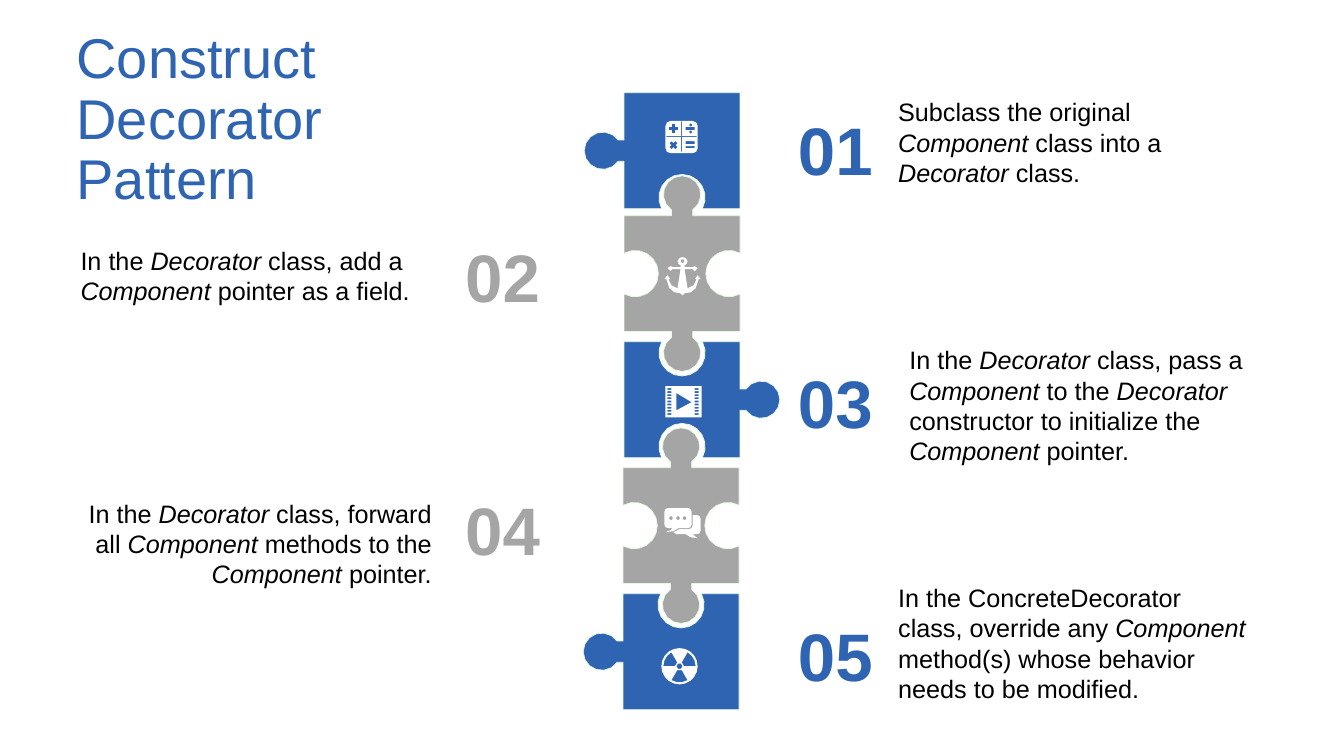
from dataclasses import dataclass
from math import asin, cos, pi, radians, sin, sqrt

from lxml.etree import SubElement
from pptx import Presentation
from pptx.dml.color import RGBColor as Rgb
from pptx.enum.text import MSO_ANCHOR as Anchor, MSO_AUTO_SIZE as AutoSize, PP_ALIGN as Align
from pptx.oxml.ns import qn
from pptx.util import Inches, Pt


@dataclass(frozen=True)
class Theme:
    font: str = "Arial"
    blue: str = "2E64B1"
    grey: str = "A5A5A5"
    white: str = "FFFFFF"
    black: str = "000000"
    edge: str = "E5FAE1"
    title_size: int = 40
    number_size: int = 48
    step_size: int = 18


SIDE = 1.15
BUMP_STEPS = 12
KNOB = (1, 0.21, 0.185, 0.105)
SOCKET = (-1, 0.11, 0.23, sqrt(0.23**2 - 0.11**2))


def arc(cx, cy, radius, start, end, count):
    angles = [radians(start + (end - start) * i / count) for i in range(count + 1)]
    return [(cx + radius * cos(a), cy + radius * sin(a)) for a in angles]


def disc(cx, cy, radius, count=6):
    return arc(cx, cy, radius, 0, 360, count)[:-1]


def box(left, top, right, bottom):
    return [(left, top), (right, top), (right, bottom), (left, bottom)]


def rounded(left, top, right, bottom, radius):
    corners = [(right - radius, bottom - radius), (left + radius, bottom - radius),
               (left + radius, top + radius), (right - radius, top + radius)]
    return [point for i, (cx, cy) in enumerate(corners)
            for point in arc(cx, cy, radius, 90 * i, 90 * i + 90, 2)]


def cross(cx, cy, arm, half, turn=0):
    c, s = cos(radians(turn)), sin(radians(turn))
    points = []
    for _ in range(4):
        for x, y in [(arm, -half), (arm, half), (half, half)]:
            points.append((cx + x * c - y * s, cy + x * s + y * c))
        c, s = -s, c
    return points


def puzzle_outline(x, y, joints):
    points = []
    for dx, dy in [(1, 0), (0, 1), (-1, 0), (0, -1)]:
        points.append((x, y))
        if (dx, dy) in joints:
            sign, offset, radius, neck = joints[(dx, dy)]
            start = asin(neck / radius)
            turns = [start + 2 * (pi - start) * i / BUMP_STEPS for i in range(BUMP_STEPS + 1)]
            bump = [(-radius * sin(t), sign * (offset - radius * cos(t))) for t in turns]
            if sign > 0:
                bump = [(-neck, 0), *bump, (neck, 0)]
            for along, out in bump:
                along += SIDE / 2
                points.append((x + dx * along + dy * out, y + dy * along - dx * out))
        x, y = x + dx * SIDE, y + dy * SIDE
    return points


def calculator_icon():
    return [rounded(6.6, 1.2, 6.92, 1.52, 0.05), cross(6.76, 1.355, 0.15, 0.005),
            cross(6.68, 1.275, 0.045, 0.015), cross(6.68, 1.44, 0.042, 0.015, 45),
            box(6.8, 1.26, 6.89, 1.29), disc(6.85, 1.24, 0.015), disc(6.85, 1.31, 0.015),
            box(6.8, 1.4, 6.89, 1.43), box(6.8, 1.45, 6.89, 1.47)]


def anchor_icon():
    axis = 6.77
    half = [(6.77, 2.55), (6.8, 2.56), (6.82, 2.59), (6.81, 2.62), (6.79, 2.63), (6.79, 2.65),
            (6.87, 2.65), (6.89, 2.64), (6.92, 2.66), (6.89, 2.69), (6.87, 2.67), (6.79, 2.67),
            (6.82, 2.86), (6.88, 2.83), (6.91, 2.77), (6.89, 2.77), (6.92, 2.73), (6.95, 2.77),
            (6.93, 2.77), (6.9, 2.86), (6.85, 2.9), (6.79, 2.91), (6.77, 2.93)]
    mirrored = [(2 * axis - x, y) for x, y in half[-2:0:-1]]
    return [half + mirrored, disc(axis, 2.59, 0.02)]


def film_icon():
    holes = [box(left, 3.85 + 0.031 * row, left + 0.04, 3.868 + 0.031 * row)
             for left in (6.62, 6.89) for row in range(9)]
    return [box(6.6, 3.83, 6.96, 4.14), [(6.71, 3.9), (6.86, 3.99), (6.71, 4.07)], *holes]


def chat_icon():
    reply = [(6.87, 5.11), (6.91, 5.11), (6.94, 5.12), (6.95, 5.15), (6.95, 5.26), (6.94, 5.29),
             (6.91, 5.3), (6.87, 5.3), (6.92, 5.34), (6.85, 5.33), (6.8, 5.3), (6.71, 5.3),
             (6.68, 5.28), (6.74, 5.25), (6.83, 5.25), (6.86, 5.24), (6.87, 5.21)]
    tail = [(6.67, 5.24), (6.73, 5.24), (6.68, 5.27), (6.6, 5.28), (6.65, 5.26)]
    dots = [disc(x, 5.14, 0.02) for x in (6.655, 6.725, 6.79)]
    return [rounded(6.59, 5.04, 6.86, 5.24, 0.035), tail, reply, *dots]


def radiation_icon():
    cx, cy = 6.74, 6.61
    blades = [arc(cx, cy, 0.16, a, a + 60, 3) + arc(cx, cy, 0.045, a + 60, a, 1)
              for a in (60, 180, 300)]
    return [disc(cx, cy, 0.18, 20), disc(cx, cy, 0.03), *blades]


class PatternSlide:
    def __init__(self, deck, theme):
        self.theme = theme
        self.slide = deck.slides.add_slide(deck.slide_layouts[5])

    def style(self, paragraph, size, color, align=Align.LEFT, bold=False):
        paragraph.alignment = align
        font = paragraph.font
        font.name, font.size, font.bold = self.theme.font, Pt(size), bold
        font.color.rgb = Rgb.from_string(color)

    def title(self, text, *place):
        heading = self.slide.shapes.title
        heading.left, heading.top, heading.width, heading.height = map(Inches, place)
        frame = heading.text_frame
        frame.text = text
        frame.word_wrap, frame.auto_size = True, AutoSize.NONE
        frame.vertical_anchor = Anchor.MIDDLE
        paragraph = frame.paragraphs[0]
        self.style(paragraph, self.theme.title_size, self.theme.blue)
        paragraph.line_spacing, paragraph.space_before = 0.9, Pt(10)

    def paragraph(self, *place):
        frame = self.slide.shapes.add_textbox(*map(Inches, place)).text_frame
        frame.word_wrap, frame.auto_size = True, AutoSize.SHAPE_TO_FIT_TEXT
        return frame.paragraphs[0]

    def number(self, text, left, top, color):
        paragraph = self.paragraph(left, top, 1.05, 0.91)
        self.style(paragraph, self.theme.number_size, color, Align.CENTER, True)
        run = paragraph.add_run()
        run.text = text
        outline = SubElement(run.font._element, qn("a:ln"), w=str(Pt(1)))
        fill = SubElement(outline, qn("a:solidFill"))
        SubElement(fill, qn("a:srgbClr"), val=self.theme.white)

    def step(self, text, left, top, height, align):
        paragraph = self.paragraph(left, top, 3.68, height)
        self.style(paragraph, self.theme.step_size, self.theme.black, align)
        for i, part in enumerate(text.split("*")):
            run = paragraph.add_run()
            run.text = part
            run.font.italic = i % 2 == 1

    def outline(self, contours, color, edge=None):
        first, *rest = [[(Inches(x), Inches(y)) for x, y in contour] for contour in contours]
        builder = self.slide.shapes.build_freeform(*first[0])
        builder.add_line_segments(first[1:])
        for contour in rest:
            builder.move_to(*contour[0])
            builder.add_line_segments(contour[1:])
        shape = builder.convert_to_shape()
        shape.shadow.inherit = False
        shape.fill.solid()
        shape.fill.fore_color.rgb = Rgb.from_string(color)
        if edge:
            shape.line.color.rgb = Rgb.from_string(edge)
            shape.line.width = Pt(0.5)
        else:
            shape.line.fill.background()


def main():
    deck = Presentation()
    deck.slide_width, deck.slide_height = Inches(13.33), Inches(7.5)
    theme = Theme()
    page = PatternSlide(deck, theme)
    page.title("Construct Decorator Pattern", 0.66, 0.24, 4.24, 1.92)

    top, right, bottom, left = (0, -1), (1, 0), (0, 1), (-1, 0)
    top, right, bottom, left = (1, 0), (0, 1), (-1, 0), (0, -1)
    link = {top: KNOB, right: SOCKET, bottom: KNOB, left: SOCKET}
    steps = [
        (6.19, 0.92, {bottom: SOCKET, left: KNOB}, calculator_icon, 8.81, 0.91, 1.01, Align.LEFT,
         "Subclass the original *Component* class into a *Decorator *class."),
        (6.19, 2.14, link, anchor_icon, 0.7, 2.38, 0.71, Align.LEFT,
         "In the *Decorator* class, add a *Component* pointer as a field."),
        (6.19, 3.39, {top: SOCKET, right: KNOB, bottom: SOCKET}, film_icon,
         8.92, 3.37, 1.31, Align.LEFT, "In the *Decorator* class, pass a *Component* to the "
         "*Decorator* constructor to initialize the *Component *pointer."),
        (6.18, 4.64, link, chat_icon, 0.7, 4.89, 1.01, Align.RIGHT,
         "In the *Decorator* class, forward all *Component* methods to the *Component *pointer."),
        (6.18, 5.89, {top: SOCKET, left: KNOB}, radiation_icon, 8.81, 5.73, 1.31, Align.LEFT,
         "In the ConcreteDecorator class, override any *Component* method(s) whose behavior "
         "needs to be modified."),
    ]
    for i, (x, y, joints, icon, text_left, text_top, height, align, text) in enumerate(steps):
        color, number_left = [(theme.blue, 7.76), (theme.grey, 4.46)][i % 2]
        page.outline([puzzle_outline(x, y, joints)], color, theme.edge)
        page.outline(icon(), theme.white)
        page.number(f"{i + 1:02}", number_left, 1.03 + 1.255 * i, color)
        page.step(text, text_left, text_top, height, align)
    deck.save("out.pptx")


if __name__ == "__main__":
    main()
